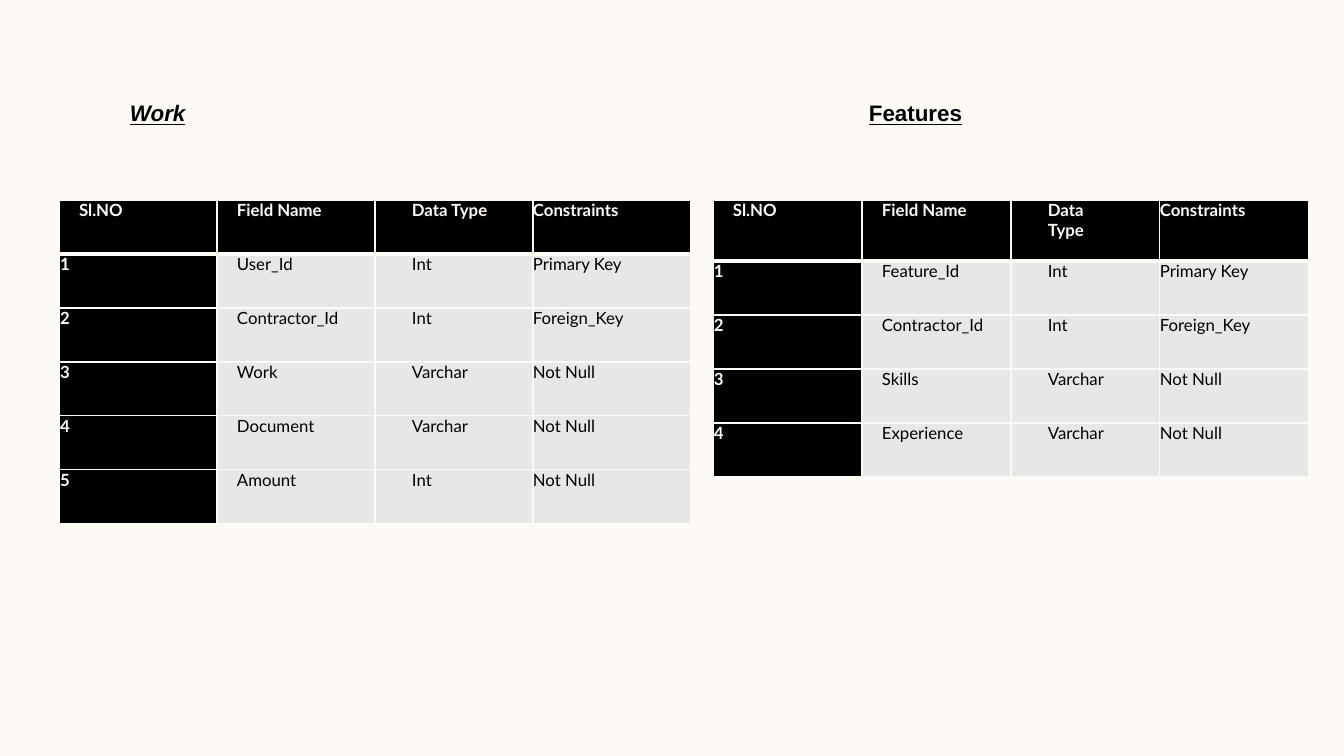
from pptx import Presentation
from pptx.dml.color import RGBColor
from pptx.enum.text import MSO_ANCHOR
from pptx.oxml import parse_xml
from pptx.oxml.ns import nsdecls
from pptx.util import Pt

CREAM = RGBColor(0xFD, 0xFA, 0xF6)
BLACK = RGBColor(0x00, 0x00, 0x00)
GREY = RGBColor(0xE7, 0xE7, 0xE7)

FIELDS_HEADER = ("Sl.NO", "Field Name", "Data Type", "Constraints")
ENTITIES = [
    {
        "name": "Work", "italic": True, "name_left": 130,
        "left": 59, "column": 158, "header_height": 54,
        "fields": [
            ("User_Id", "Int", "Primary Key"),
            ("Contractor_Id", "Int", "Foreign_Key"),
            ("Work", "Varchar", "Not Null"),
            ("Document", "Varchar", "Not Null"),
            ("Amount", "Int", "Not Null"),
        ],
    },
    {
        "name": "Features", "italic": False, "name_left": 869,
        "left": 713, "column": 149, "header_height": 61,
        "fields": [
            ("Feature_Id", "Int", "Primary Key"),
            ("Contractor_Id", "Int", "Foreign_Key"),
            ("Skills", "Varchar", "Not Null"),
            ("Experience", "Varchar", "Not Null"),
        ],
    },
]
SLIDE_WIDTH, SLIDE_HEIGHT = 1344, 756
NAME_TOP, NAME_WIDTH, NAME_HEIGHT = 100, 120, 26
TABLE_TOP, ROW_HEIGHT = 200, 54
HEADER_INDENTS = (20, 20, 37, 0)
FIELD_INDENTS = (1, 20, 37, 0)
TYPE_COLUMN, TYPE_RIGHT_INDENT = 2, 41


def px(length):
    return round(length * 12192000 / SLIDE_WIDTH)


def add_borders(cell, row):
    widths = {"L": 1, "R": 1, "T": 3 if row == 1 else 1, "B": 3 if row == 0 else 1}
    properties = cell._tc.get_or_add_tcPr()
    for position, (side, width) in enumerate(widths.items()):
        properties.insert(position, parse_xml(
            f'<a:ln{side} {nsdecls("a")} w="{Pt(width)}"><a:solidFill>'
            f'<a:srgbClr val="{CREAM}"/></a:solidFill></a:ln{side}>'))


def fill_cell(cell, text, row, column):
    is_header = row == 0
    is_dark = is_header or column == 0
    cell.margin_left = cell.margin_right = cell.margin_top = cell.margin_bottom = 0
    cell.fill.solid()
    cell.fill.fore_color.rgb = BLACK if is_dark else GREY
    add_borders(cell, row)
    cell.text = text
    paragraph = cell.text_frame.paragraphs[0]
    indents = HEADER_INDENTS if is_header else FIELD_INDENTS
    indent = paragraph._p.get_or_add_pPr()
    indent.set("marL", str(px(indents[column])))
    if column == TYPE_COLUMN:
        indent.set("marR", str(px(TYPE_RIGHT_INDENT)))
    font = paragraph.font
    font.name, font.size, font.bold = "Lato", Pt(12), is_dark
    font.color.rgb = CREAM if is_dark else BLACK


def add_fields(slide, entity):
    rows = [FIELDS_HEADER]
    rows += [(str(number), *field) for number, field in enumerate(entity["fields"], 1)]
    heights = [entity["header_height"]] + [ROW_HEIGHT] * len(entity["fields"])
    columns = len(FIELDS_HEADER)
    table = slide.shapes.add_table(
        len(rows), columns, px(entity["left"]), px(TABLE_TOP),
        px(entity["column"] * columns), px(sum(heights))).table
    for column in table.columns:
        column.width = px(entity["column"])
    for row, values in enumerate(rows):
        table.rows[row].height = px(heights[row])
        for column, text in enumerate(values):
            fill_cell(table.cell(row, column), text, row, column)


def add_name(slide, entity):
    frame = slide.shapes.add_textbox(
        px(entity["name_left"]), px(NAME_TOP), px(NAME_WIDTH), px(NAME_HEIGHT)).text_frame
    frame.margin_left = frame.margin_right = frame.margin_top = frame.margin_bottom = 0
    frame.word_wrap = True
    frame.vertical_anchor = MSO_ANCHOR.MIDDLE
    frame.text = entity["name"]
    font = frame.paragraphs[0].font
    font.name, font.size, font.bold = "Arial", Pt(16), True
    font.italic, font.underline = entity["italic"], True
    font.color.rgb = BLACK


def main():
    presentation = Presentation()
    presentation.slide_width = px(SLIDE_WIDTH)
    presentation.slide_height = px(SLIDE_HEIGHT)
    slide = presentation.slides.add_slide(presentation.slide_layouts[6])
    slide.background.fill.solid()
    slide.background.fill.fore_color.rgb = CREAM
    for entity in ENTITIES:
        add_fields(slide, entity)
        add_name(slide, entity)
    presentation.save("out.pptx")


if __name__ == "__main__":
    main()
